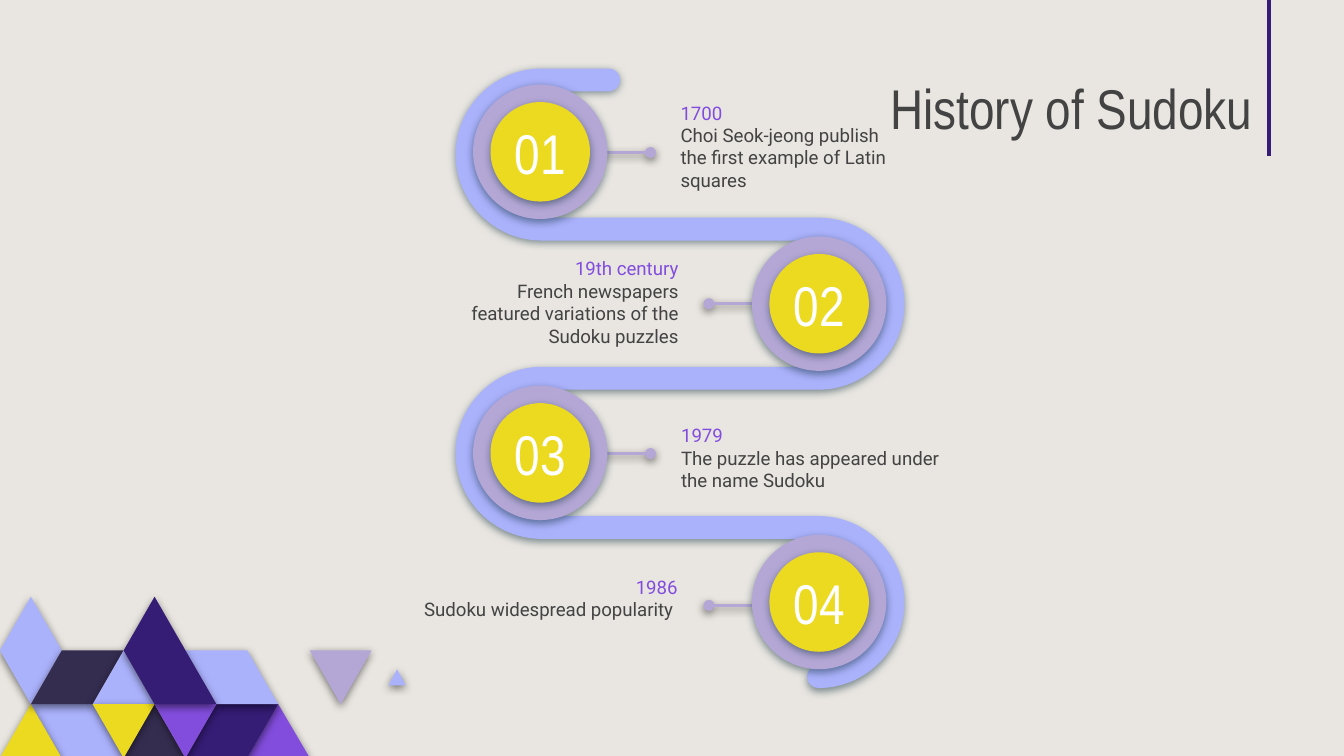
"""Build the History of Sudoku timeline slide."""
from dataclasses import dataclass
from math import cos, radians, sin

from lxml.etree import SubElement
from pptx import Presentation
from pptx.dml.color import RGBColor
from pptx.enum.shapes import MSO_CONNECTOR, MSO_SHAPE
from pptx.enum.text import MSO_ANCHOR, PP_ALIGN
from pptx.oxml.ns import qn
from pptx.util import Emu, Pt

PX_EMU = 4572
ARC_HANDLE = 0.55


def px(length):
    return Emu(round(length * PX_EMU))


@dataclass(frozen=True)
class Theme:
    background: str = "E9E6E1"
    ink: str = "434343"
    white: str = "FFFFFF"
    indigo: str = "351C75"
    violet: str = "824DDD"
    periwinkle: str = "ABB2FC"
    lilac: str = "B4A7D6"
    yellow: str = "ECDA20"
    night: str = "352D50"
    soft_shadow: str = "0C2E3A"
    black_shadow: str = "000000"
    display_font: str = "Arial Narrow"
    body_font: str = "Roboto"
    display_size: int = 30
    body_size: int = 10


class SlideBuilder:
    def __init__(self, slide, theme):
        self.slide = slide
        self.theme = theme
        slide.background.fill.solid()
        slide.background.fill.fore_color.rgb = RGBColor.from_string(theme.background)

    def add_effects(self, shape, shadow):
        effects = SubElement(shape.element.spPr, qn("a:effectLst"))
        if shadow:
            outer = SubElement(effects, qn("a:outerShdw"), blurRad=str(Pt(4.5)),
                               dist=str(Pt(1.5)), dir="5400000", algn="bl", rotWithShape="0")
            color = SubElement(outer, qn("a:srgbClr"), val=shadow)
            SubElement(color, qn("a:alpha"), val="50000")

    def paint(self, shape, color, shadow):
        shape.fill.solid()
        shape.fill.fore_color.rgb = RGBColor.from_string(color)
        shape.line.fill.background()
        self.add_effects(shape, shadow)

    def polygon(self, points, color, shadow):
        corners = [(px(x), px(y)) for x, y in points]
        builder = self.slide.shapes.build_freeform(*corners[0], scale=1.0)
        builder.add_line_segments(corners[1:], close=True)
        shape = builder.convert_to_shape()
        self.paint(shape, color, shadow)
        return shape

    def curved_outline(self, bounds, segments, color, shadow):
        left, top, right, bottom = bounds
        corners = [(left, top), (right, top), (right, bottom), (left, bottom)]
        shape = self.polygon(corners, color, shadow)
        outline = next(shape.element.iter(qn("a:path")))
        for step in list(outline):
            outline.remove(step)
        for kind, points in segments:
            step = SubElement(outline, qn(f"a:{kind}"))
            for x, y in points:
                SubElement(step, qn("a:pt"), x=str(px(x - left)), y=str(px(y - top)))
        SubElement(outline, qn("a:close"))

    def circle(self, center_x, center_y, diameter, color):
        shape = self.slide.shapes.add_shape(
            MSO_SHAPE.OVAL, px(center_x - diameter / 2), px(center_y - diameter / 2),
            px(diameter), px(diameter))
        self.paint(shape, color, self.theme.soft_shadow)

    def line(self, start, end, color, width, shadow=None, dot=False):
        connector = self.slide.shapes.add_connector(
            MSO_CONNECTOR.STRAIGHT, *map(px, start + end))
        connector.line.color.rgb = RGBColor.from_string(color)
        connector.line.width = Pt(width)
        if dot:
            SubElement(connector.element.spPr.find(qn("a:ln")), qn("a:tailEnd"), type="oval")
        self.add_effects(connector, shadow)

    def text_box(self, box, align, anchor, font_name, size):
        frame = self.slide.shapes.add_textbox(*map(px, box)).text_frame
        frame.word_wrap = True
        frame.vertical_anchor = anchor
        frame.margin_left = frame.margin_right = px(20)
        frame.margin_top = frame.margin_bottom = px(20)
        paragraph = frame.paragraphs[0]
        paragraph.alignment = align
        paragraph.font.name = font_name
        paragraph.font.size = Pt(size)
        return paragraph

    def heading(self, text, box, align, anchor, color):
        paragraph = self.text_box(box, align, anchor, self.theme.display_font,
                                  self.theme.display_size)
        paragraph.font.color.rgb = RGBColor.from_string(color)
        paragraph.add_run().text = text

    def event(self, date, description, box, align):
        paragraph = self.text_box(box, align, MSO_ANCHOR.TOP, self.theme.body_font,
                                  self.theme.body_size)
        for text, color in ((date, self.theme.violet), (description, self.theme.ink)):
            if paragraph.runs:
                paragraph.add_line_break()
            run = paragraph.add_run()
            run.text = text
            run.font.color.rgb = RGBColor.from_string(color)


def half_circle(center_x, center_y, radius, start, turn):
    def point(angle, handle=0):
        cosine, sine = cos(radians(angle)), sin(radians(angle))
        return (center_x + radius * (cosine - handle * sine),
                center_y + radius * (sine + handle * cosine))

    segments = [("lnTo", [point(start)])]
    for angle in (start, start + 90 * turn):
        end = angle + 90 * turn
        segments.append(("cubicBezTo", [point(angle, ARC_HANDLE * turn),
                                        point(end, -ARC_HANDLE * turn), point(end)]))
    return segments


def ribbon_segments():
    middle, half = 111, 17
    bends = [((806, 1218)[index % 2], 230 + 2 * middle * index, (-1, 1)[index % 2])
             for index in range(4)]
    segments = []
    for x, y, turn in bends:
        segments += half_circle(x, y, middle - half * turn, -90, turn)
    last_x, last_y, _ = bends[-1]
    segments += half_circle(last_x, last_y + middle, half, -90, -1)
    for x, y, turn in reversed(bends):
        segments += half_circle(x, y, middle + half * turn, 90, -turn)
    segments += half_circle(906, bends[0][1] - middle, half, 90, -1)
    return [("moveTo", segments[0][1])] + segments[1:]


def add_triangle_mosaic(builder):
    theme = builder.theme
    tiles = [
        (theme.violet, [(10, 3), (9, 2), (8, 3)]),
        (theme.indigo, [(9, 2), (7, 2), (6, 3), (8, 3)]),
        (theme.periwinkle, [(4, 3), (3, 2), (1, 2), (2, 3)]),
        (theme.yellow, [(2, 3), (1, 2), (0, 3)]),
        (theme.night, [(6, 3), (5, 2), (4, 3)]),
        (theme.periwinkle, [(9, 2), (8, 1), (6, 1), (7, 2)]),
        (theme.lilac, [(12, 1), (10, 1), (11, 2)]),
        (theme.periwinkle, [(2, 1), (1, 0), (0, 1), (1, 2)]),
        (theme.night, [(4, 1), (2, 1), (1, 2), (3, 2)]),
        (theme.periwinkle, [(5, 2), (4, 1), (3, 2)]),
        (theme.yellow, [(5, 2), (3, 2), (4, 3)]),
        (theme.violet, [(7, 2), (5, 2), (6, 3)]),
        (theme.indigo, [(7, 2), (5, 0), (4, 1), (5, 2)]),
    ]
    for color, cells in tiles:
        points = [(461 * column // 10, 888 + 80 * row) for column, row in cells]
        builder.polygon(points, color, theme.black_shadow)
    builder.polygon([(604, 1020), (591, 996), (578, 1020)], theme.periwinkle,
                    theme.black_shadow)


def add_timeline(builder):
    theme = builder.theme
    left_x, right_x = 804, 1219
    events = [
        (left_x, 226, 227, "1700",
         "Choi Seok-jeong publish the first example of Latin squares", (993, 131, 370, 126)),
        (right_x, 452, 452, "19th century",
         "French newspapers featured variations of the Sudoku puzzles", (651, 363, 378, 126)),
        (left_x, 674, 675, "1979",
         "The puzzle has appeared under the name Sudoku", (994, 611, 434, 126)),
        (right_x, 896, 901, "1986", "Sudoku widespread popularity ", (536, 837, 492, 126)),
    ]
    for x, _, stalk_y, *_ in reversed(events):
        side = 1 if x == left_x else -1
        builder.line((x + 66 * side, stalk_y), (x + 164 * side, stalk_y), theme.lilac, 1.5,
                     theme.black_shadow, dot=True)
    builder.curved_outline((678, 102, 1346, 1024), ribbon_segments(), theme.periwinkle,
                           theme.soft_shadow)
    for diameter, color in ((200, theme.lilac), (148, theme.yellow)):
        for x, y, *_ in events:
            builder.circle(x, y, diameter, color)
    for number, (x, y, *_) in enumerate(events, 1):
        builder.heading(f"{number:02}", (x - 65, y - 63, 130, 126), PP_ALIGN.CENTER,
                        MSO_ANCHOR.MIDDLE, theme.white)
    for x, _, _, date, description, box in events:
        align = PP_ALIGN.LEFT if x == left_x else PP_ALIGN.RIGHT
        builder.event(date, description, box, align)


def main():
    presentation = Presentation()
    presentation.slide_width, presentation.slide_height = px(2000), px(1125)
    slide = presentation.slides.add_slide(presentation.slide_layouts[6])
    theme = Theme()
    builder = SlideBuilder(slide, theme)
    add_triangle_mosaic(builder)
    builder.line((1888, -350), (1888, 232), theme.indigo, 2.25)
    builder.heading("History of Sudoku", (1056, 103, 828, 126), PP_ALIGN.RIGHT,
                    MSO_ANCHOR.BOTTOM, theme.ink)
    add_timeline(builder)
    presentation.save("out.pptx")


if __name__ == "__main__":
    main()
